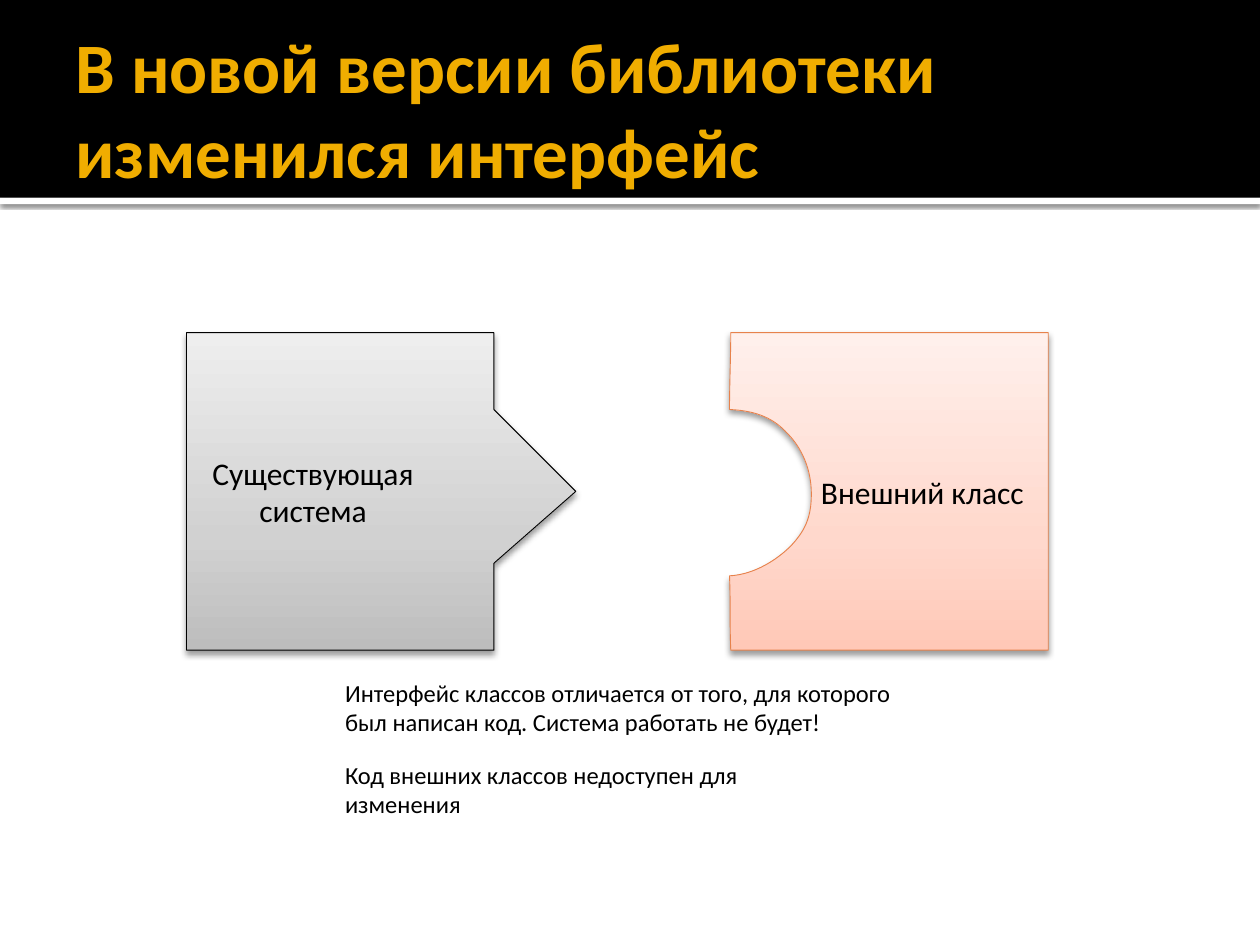
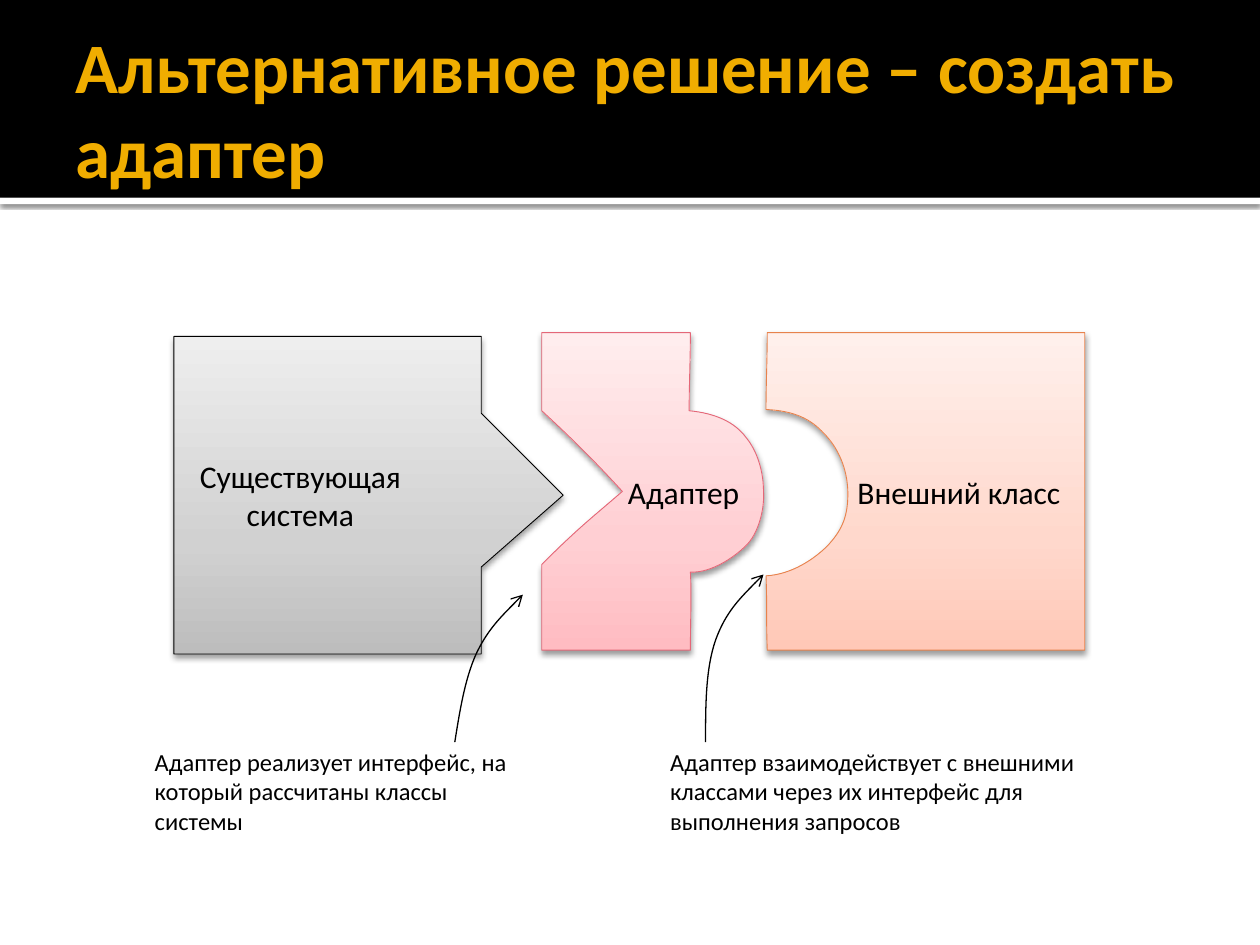
import copy

import pptx
import pptx.dml.color
import pptx.enum.shapes
import pptx.enum.text
import pptx.oxml
import pptx.oxml.ns
import pptx.util
from pptx.util import Inches

FONT = "Calibri"
BLACK, WHITE, GOLD = "000000", "FFFFFF", "F0AD00"
GREY = (("BDBDBD", "D1D1D1", "EEEEEE"), BLACK)
ORANGE = (("FFC8B7", "FFD8CC", "FFF0EC"), "E7824C")
PINK = (("FFBCC2", "FFCFD3", "FFEDEE"), "E46778")
BLOCK_H = 2.52

SYSTEM = [(0, 0), (2.44, 0), (2.44, 0.2, 2.44, 0.41, 2.44, 0.61),
          (3.09, 1.26), (2.44, 1.83), (2.44, BLOCK_H), (0, BLOCK_H), (0, 0)]
EXTERNAL = [(0.01, 0), (2.53, 0), (2.53, BLOCK_H), (0.01, BLOCK_H),
            (0, 2.25, 0.01, 2.18, 0, 1.93),
            (0.2, 1.92, 0.38, 1.8, 0.49, 1.69),
            (0.59, 1.58, 0.65, 1.48, 0.65, 1.28),
            (0.65, 1.08, 0.57, 0.91, 0.46, 0.8),
            (0.36, 0.69, 0.23, 0.62, 0, 0.61),
            (0, 0.41, 0.01, 0.2, 0.01, 0)]
ADAPTER = [(0, 0), (1.18, 0), (1.18, 0.21, 1.17, 0.41, 1.17, 0.62),
           (1.38, 0.64, 1.53, 0.71, 1.62, 0.83),
           (1.72, 0.95, 1.76, 1.12, 1.76, 1.26),
           (1.77, 1.4, 1.72, 1.58, 1.64, 1.67),
           (1.55, 1.77, 1.35, 1.91, 1.18, 1.9),
           (1.19, 2.07, 1.18, 2.28, 1.18, BLOCK_H), (0, BLOCK_H),
           (0, 2.29, 0, 2.07, 0, 1.84),
           (0.3, 1.54, 0.41, 1.46, 0.64, 1.26),
           (0.42, 1.02, 0.25, 0.85, 0, 0.62),
           (0, 0.32, 0, 0.22, 0, 0)]
LEFT_ARROW = [(0, 1.17), (0.04, 0.92, 0.08, 0.67, 0.17, 0.47),
              (0.26, 0.28, 0.4, 0.14, 0.54, 0)]
RIGHT_ARROW = [(0, 1.33), (0, 1.04, 0, 0.75, 0.08, 0.52),
               (0.16, 0.3, 0.31, 0.15, 0.46, 0)]


def rgb(value):
    return pptx.dml.color.RGBColor.from_string(value)


def add_shadow(sp, alpha, blur, dist):
    sp.shadow.inherit = False
    effects = sp._element.spPr.find(pptx.oxml.ns.qn("a:effectLst"))
    effects.append(pptx.oxml.parse_xml(
        f'<a:outerShdw {pptx.oxml.ns.nsdecls("a")} blurRad="{pptx.util.Pt(blur)}" '
        f'dist="{pptx.util.Pt(dist)}" dir="5400000" rotWithShape="0">'
        f'<a:srgbClr val="{BLACK}"><a:alpha val="{alpha * 1000}"/></a:srgbClr></a:outerShdw>'))


def write(sp, text, size, color=BLACK, bold=False, centered=False,
          middle=False, left=0.1, right=0.1):
    tf = sp.text_frame
    tf.word_wrap = True
    tf.margin_left, tf.margin_right = Inches(left), Inches(right)
    tf.margin_top = tf.margin_bottom = Inches(0.05)
    anchors = pptx.enum.text.MSO_ANCHOR
    tf.vertical_anchor = anchors.MIDDLE if middle else anchors.TOP
    p = tf.paragraphs[0]
    aligns = pptx.enum.text.PP_ALIGN
    p.alignment = aligns.CENTER if centered else aligns.LEFT
    r = p.add_run()
    r.text = text
    r.font.name, r.font.size, r.font.bold = FONT, pptx.util.Pt(size), bold
    r.font.color.rgb = rgb(color)


def add_band(s, top, height, color):
    sp = s.shapes.add_shape(pptx.enum.shapes.MSO_SHAPE.RECTANGLE,
                            0, Inches(top), Inches(10), Inches(height))
    sp.fill.solid()
    sp.fill.fore_color.rgb = rgb(color)
    sp.line.fill.background()
    sp.shadow.inherit = False
    return sp


def add_header(s, title):
    add_shadow(add_band(s, 1.57, 0.05, WHITE), 60, 2.5, 0.8)
    add_band(s, 0, 1.57, BLACK)
    sp = s.shapes.add_textbox(Inches(0.5), Inches(0.17), Inches(9), Inches(1.37))
    write(sp, title, 40.5, GOLD, bold=True, middle=True, right=0.05)


def bend(sp, outline):
    lines = list(sp._element.spPr.iter(pptx.oxml.ns.qn("a:lnTo")))
    for line, step in zip(lines, outline[1:]):
        if len(step) == 6:
            points = "".join(f'<a:pt x="{Inches(x)}" y="{Inches(y)}"/>'
                             for x, y in zip(step[::2], step[1::2]))
            curve = pptx.oxml.parse_xml(
                f'<a:cubicBezTo {pptx.oxml.ns.nsdecls("a")}>{points}</a:cubicBezTo>')
            line.getparent().replace(line, curve)


def add_outline(s, left, top, outline, line, width, close):
    points = [(Inches(left + step[-2]), Inches(top + step[-1])) for step in outline]
    builder = s.shapes.build_freeform(*points[0], scale=1.0)
    builder.add_line_segments(points[1:], close=close)
    sp = builder.convert_to_shape()
    bend(sp, outline)
    sp.line.color.rgb = rgb(line)
    sp.line.width = pptx.util.Pt(width)
    sp.shadow.inherit = False
    return sp


def add_block(s, left, top, outline, palette, text, inset_left, inset_right):
    colors, line = palette
    sp = add_outline(s, left, top, outline, line, 0.5, True)
    sp.fill.gradient()
    sp.fill.gradient_angle = 90
    stop_list = next(sp._element.spPr.iter(pptx.oxml.ns.qn("a:gsLst")))
    stop_list.insert(1, copy.deepcopy(stop_list[0]))
    for stop, color, position in zip(sp.fill.gradient_stops, colors, (0, 0.35, 1)):
        stop.color.rgb = rgb(color)
        stop.position = position
    add_shadow(sp, 38, 3.5, 2)
    write(sp, text, 18, centered=True, middle=True, left=inset_left, right=inset_right)


def add_system(s, left, top):
    add_block(s, left, top, SYSTEM, GREY, "Существующая система", 0.1, 1.18)


def add_external(s, left, top):
    add_block(s, left, top, EXTERNAL, ORANGE, "Внешний класс", 0.63, 0.1)


def add_adapter(s, left, top):
    add_block(s, left, top, ADAPTER, PINK, "Адаптер", 0.59, 0.1)


def add_caption(s, left, top, width, height, text):
    sp = s.shapes.add_textbox(Inches(left), Inches(top), Inches(width), Inches(height))
    write(sp, text, 14)
    sp.text_frame.auto_size = pptx.enum.text.MSO_AUTO_SIZE.SHAPE_TO_FIT_TEXT


def add_arrow(s, left, top, outline):
    sp = add_outline(s, left, top, outline, BLACK, 0.75, False)
    sp.fill.background()
    line = sp._element.spPr.find(pptx.oxml.ns.qn("a:ln"))
    line.append(pptx.oxml.parse_xml(
        f'<a:tailEnd {pptx.oxml.ns.nsdecls("a")} type="arrow"/>'))


def build_problem(s):
    add_header(s, "В новой версии библиотеки изменился интерфейс")
    add_external(s, 5.79, 2.64)
    add_system(s, 1.48, 2.64)
    add_caption(s, 2.64, 5.33, 4.65, 0.57,
                "Интерфейс классов отличается от того, для которого был написан код. "
                "Система работать не будет!")
    add_caption(s, 2.64, 5.98, 3.94, 0.57, "Код внешних классов недоступен для изменения")


def build_solution(s):
    add_header(s, "Альтернативное решение – создать адаптер")
    add_external(s, 6.08, 2.64)
    add_system(s, 1.38, 2.67)
    add_adapter(s, 4.3, 2.64)
    add_caption(s, 1.13, 5.88, 3.17, 0.81,
                "Адаптер реализует интерфейс, на который рассчитаны классы системы")
    add_caption(s, 5.22, 5.88, 3.48, 0.81,
                "Адаптер взаимодействует с внешними классами через их интерфейс "
                "для выполнения запросов")
    add_arrow(s, 3.61, 4.72, LEFT_ARROW)
    add_arrow(s, 5.6, 4.56, RIGHT_ARROW)


def main():
    prs = pptx.Presentation()
    prs.slide_width, prs.slide_height = Inches(10), Inches(7.5)
    for build in (build_problem, build_solution):
        build(prs.slides.add_slide(prs.slide_layouts[6]))
    prs.save("out.pptx")


if __name__ == "__main__":
    main()
